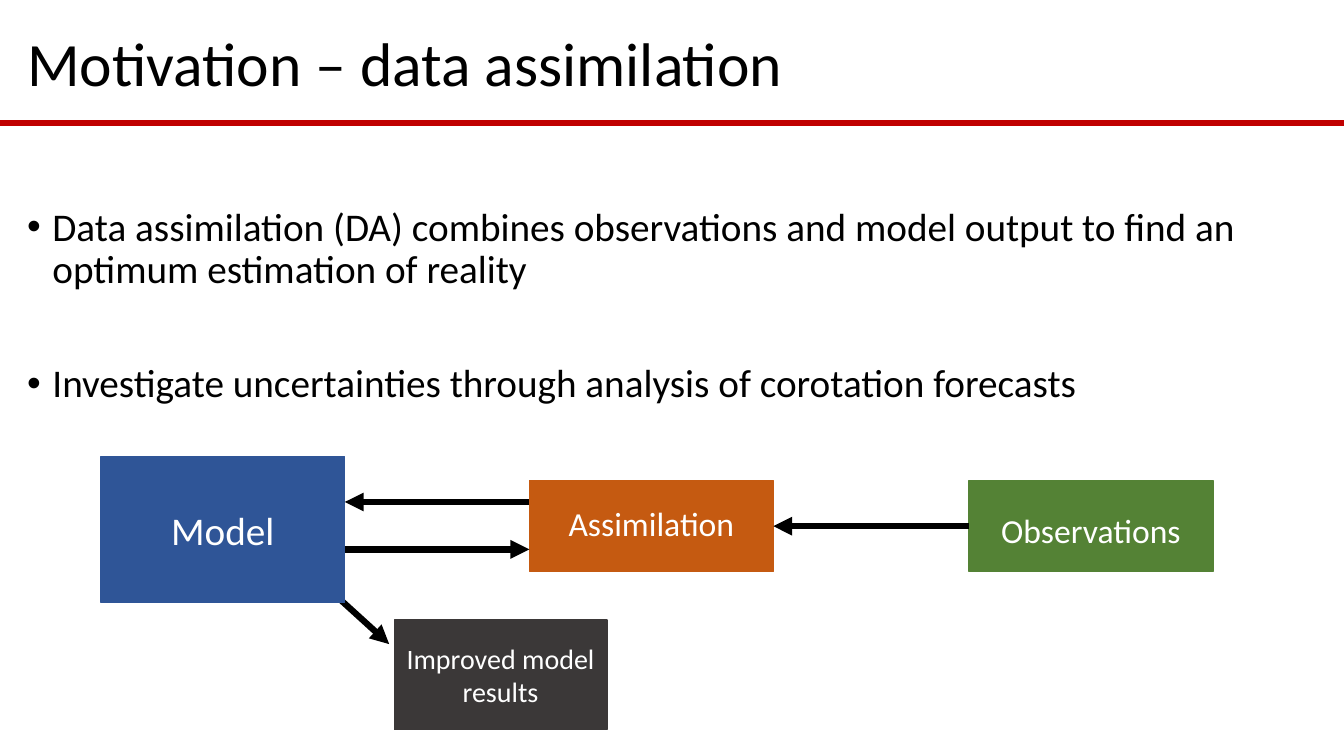
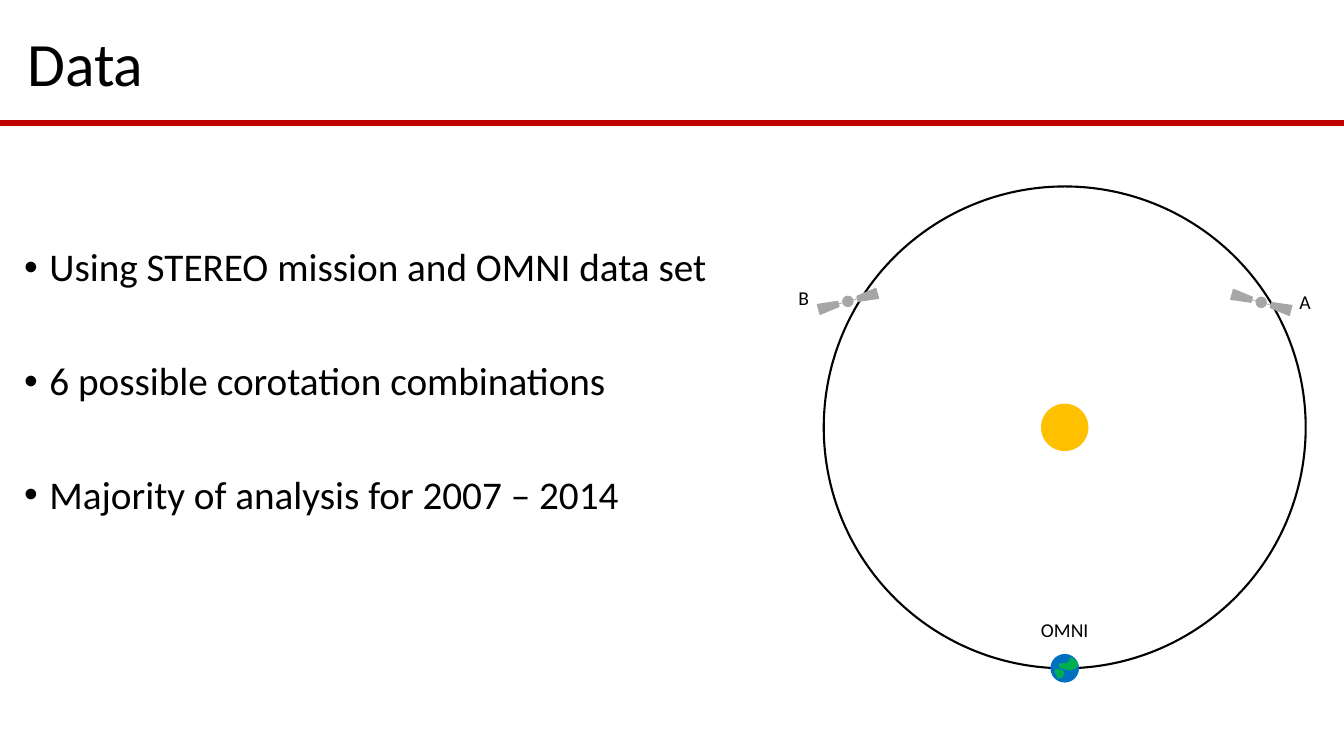
from math import cos, radians, sin

from pptx import Presentation
from pptx import util as u
from pptx.dml.color import RGBColor
from pptx.enum import shapes as kinds, text
from pptx.oxml.ns import qn
from lxml import etree

PX = 9144  # EMU per px, 100 px to the inch
FONT = "Calibri"
BLACK = RGBColor(0x00, 0x00, 0x00)
WHITE = RGBColor(0xFF, 0xFF, 0xFF)
RED = RGBColor(0xC0, 0x00, 0x00)
BLUE = RGBColor(0x2F, 0x55, 0x97)
ORANGE = RGBColor(0xC5, 0x5A, 0x11)
GREEN = RGBColor(0x54, 0x82, 0x35)
CHARCOAL = RGBColor(0x3B, 0x38, 0x38)
GREY = RGBColor(0xA6, 0xA6, 0xA6)
SUN = RGBColor(0xFF, 0xC0, 0x00)
SEA = RGBColor(0x00, 0x70, 0xC0)
LAND = RGBColor(0x00, 0xB0, 0x50)

TITLE_BOX = (17, 5, 1296, 122)
RULE_Y = 122
LANDMASSES = (
    [(20, 3), (18, 7), (17, 8), (14, 9), (9, 9), (8, 11), (10, 13), (14, 14),
     (19, 15), (24, 13), (26, 10), (25, 7), (21, 4)],
    [(4, 16), (5, 19), (6, 20), (7, 23), (11, 22), (12, 20), (12, 17),
     (11, 16), (7, 15), (5, 15)],
)


def emu(*lengths):
    return [u.Emu(round(length * PX)) for length in lengths]


def place(item, box):
    item.left, item.top, item.width, item.height = emu(*box)


def write(frame, *lines, size, color=BLACK, align=text.PP_ALIGN.LEFT,
          spacing=None, gap=0, bullets=False):
    """Fill a text frame with one paragraph a line, gap points apart."""
    frame.word_wrap = True
    for index, line in enumerate(lines):
        para = frame.paragraphs[0] if index == 0 else frame.add_paragraph()
        para.alignment = align
        para.space_before = u.Pt(gap if index else 0)
        if spacing:
            para.line_spacing = spacing
        if bullets:
            properties = para._p.get_or_add_pPr()
            properties.set("marL", str(25 * PX))
            properties.set("indent", str(-25 * PX))
        span = para.add_run()
        span.text = line
        span.font.name = FONT
        span.font.size = u.Pt(size)
        span.font.color.rgb = color


def add_line(shapes, start, end, color=BLACK, weight=4.5, arrow=False):
    line = shapes.add_connector(kinds.MSO_CONNECTOR.STRAIGHT,
                                *emu(*start, *end))
    line.line.color.rgb = color
    line.line.width = u.Pt(weight)
    if arrow:
        outline = line.line._get_or_add_ln()
        etree.SubElement(outline, qn("a:tailEnd"), type="triangle")
    etree.SubElement(line.element.spPr, qn("a:effectLst"))
    return line


def paint(shape, fill=None, outline=None, weight=1):
    shape.shadow.inherit = False
    if fill is None:
        shape.fill.background()
    else:
        shape.fill.solid()
        shape.fill.fore_color.rgb = fill
    if outline is None:
        shape.line.fill.background()
    else:
        shape.line.color.rgb = outline
        shape.line.width = u.Pt(weight)


def add_shape(shapes, kind, box, fill=None, outline=None, weight=1, turn=0):
    shape = shapes.add_shape(kind, *emu(*box))
    paint(shape, fill, outline, weight)
    shape.rotation = turn
    return shape


def add_circle(shapes, centre, size, **look):
    box = (centre[0] - size / 2, centre[1] - size / 2, size, size)
    return add_shape(shapes, kinds.MSO_SHAPE.OVAL, box, **look)


def add_block(shapes, label, box, color, size, shift=0):
    """Draw a filled rectangle whose label sits shift px below its middle."""
    block = add_shape(shapes, kinds.MSO_SHAPE.RECTANGLE, box, color, color)
    frame = block.text_frame
    frame.vertical_anchor = text.MSO_ANCHOR.MIDDLE
    frame.margin_left = frame.margin_right = 0
    frame.margin_top, frame.margin_bottom = emu(max(0, 2 * shift),
                                                max(0, -2 * shift))
    write(frame, label, size=size, color=WHITE, align=text.PP_ALIGN.CENTER)
    return block


def add_label(shapes, label, box, align=text.PP_ALIGN.LEFT):
    write(shapes.add_textbox(*emu(*box)).text_frame, label, size=14,
          align=align)


def add_page(deck, layout, title, bullets, body_box):
    page = deck.slides.add_slide(layout)
    heading = page.shapes.title
    heading.text_frame.vertical_anchor = text.MSO_ANCHOR.MIDDLE
    write(heading.text_frame, title, size=44, spacing=0.9)
    body = page.placeholders[1]
    place(body, body_box)
    body.text_frame.auto_size = text.MSO_AUTO_SIZE.NONE
    write(body.text_frame, *bullets, size=28, spacing=0.9, gap=51,
          bullets=True)
    return page


def add_assimilation_flow(shapes, left, top):
    def at(x, y, *size):
        return (left + x, top + y, *size)

    add_line(shapes, at(219, 125), at(286, 186), arrow=True)
    add_block(shapes, "Model", at(0, 0, 242, 145), BLUE, 28)
    assimilation = add_block(shapes, "Assimilation", at(425, 24, 242, 90),
                             ORANGE, 24, shift=-3)
    observations = add_block(shapes, "Observations", at(861, 24, 242, 90),
                             GREEN, 24, shift=4)
    add_block(shapes, "Improved model results", at(291, 162, 211, 109),
              CHARCOAL, 20)
    add_line(shapes, at(425, 45), at(242, 45), arrow=True)
    add_line(shapes, at(242, 92), at(425, 92), arrow=True)
    feed = add_line(shapes, at(861, 69), at(667, 69), arrow=True)
    feed.begin_connect(observations, 1)
    feed.end_connect(assimilation, 3)


def add_spacecraft(shapes, centre, tilt):
    """Draw a round body between two solar panels, turned by tilt degrees."""
    x, y = centre
    parts = shapes.add_group_shape().shapes
    across, down = cos(radians(tilt)), sin(radians(tilt))
    add_line(parts, (x - 15 * across, y - 15 * down),
             (x + 15 * across, y + 15 * down), GREY, 0.5)
    add_circle(parts, centre, 10, fill=GREY, outline=GREY)
    for side, turn in ((-1, 90), (1, 270)):
        panel = (x + side * 20 * across - 5, y + side * 20 * down - 10, 10, 20)
        add_shape(parts, kinds.MSO_SHAPE.TRAPEZOID, panel, GREY, GREY,
                  turn=turn + tilt)


def add_earth(shapes, centre, size=27):
    parts = shapes.add_group_shape().shapes
    add_circle(parts, centre, size, fill=SEA, outline=SEA)
    origin = emu(centre[0] - size / 2, centre[1] - size / 2)
    for coast in LANDMASSES:
        builder = parts.build_freeform(*coast[0], scale=PX)
        builder.add_line_segments(coast[1:], close=True)
        paint(builder.convert_to_shape(*origin), LAND, LAND)


def add_orbit(shapes, left, top, size):
    middle = (left + size / 2, top + size / 2)
    add_circle(shapes, middle, 47, fill=SUN)
    add_circle(shapes, middle, size, outline=BLACK, weight=1.5)
    add_spacecraft(shapes, (left + 434, top + 115), 15.3)
    add_spacecraft(shapes, (left + 24, top + 114), -15.3)
    add_label(shapes, "A", (left + 462, top + 98, 34, 34))
    add_label(shapes, "B", (left - 35, top + 94, 34, 34))
    add_earth(shapes, (middle[0], top + size))
    add_label(shapes, "OMNI", (middle[0] - 52, top + size - 55, 104, 34),
              text.PP_ALIGN.CENTER)


def main():
    deck = Presentation()
    deck.slide_width, deck.slide_height = u.Inches(13.33), u.Inches(7.5)
    layout = deck.slide_layouts[1]
    place(layout.placeholders[0], TITLE_BOX)

    motivation = add_page(
        deck, layout, "Motivation – data assimilation",
        ["Data assimilation (DA) combines observations and model output to "
         "find an optimum estimation of reality",
         "Investigate uncertainties through analysis of corotation forecasts"],
        (17, 201, 1296, 474))
    rule = add_line(motivation.shapes, (0, RULE_Y), (1333, RULE_Y), RED)
    layout.shapes.element.append(rule.element)  # shared by every page
    add_assimilation_flow(motivation.shapes, 100, 453)

    data = add_page(
        deck, layout, "Data",
        ["Using STEREO mission and OMNI data set",
         "6 possible corotation combinations",
         "Majority of analysis for 2007 – 2014"],
        (14, 241, 730, 421))
    add_orbit(data.shapes, 817, 185, 478)

    deck.save("out.pptx")


if __name__ == "__main__":
    main()
